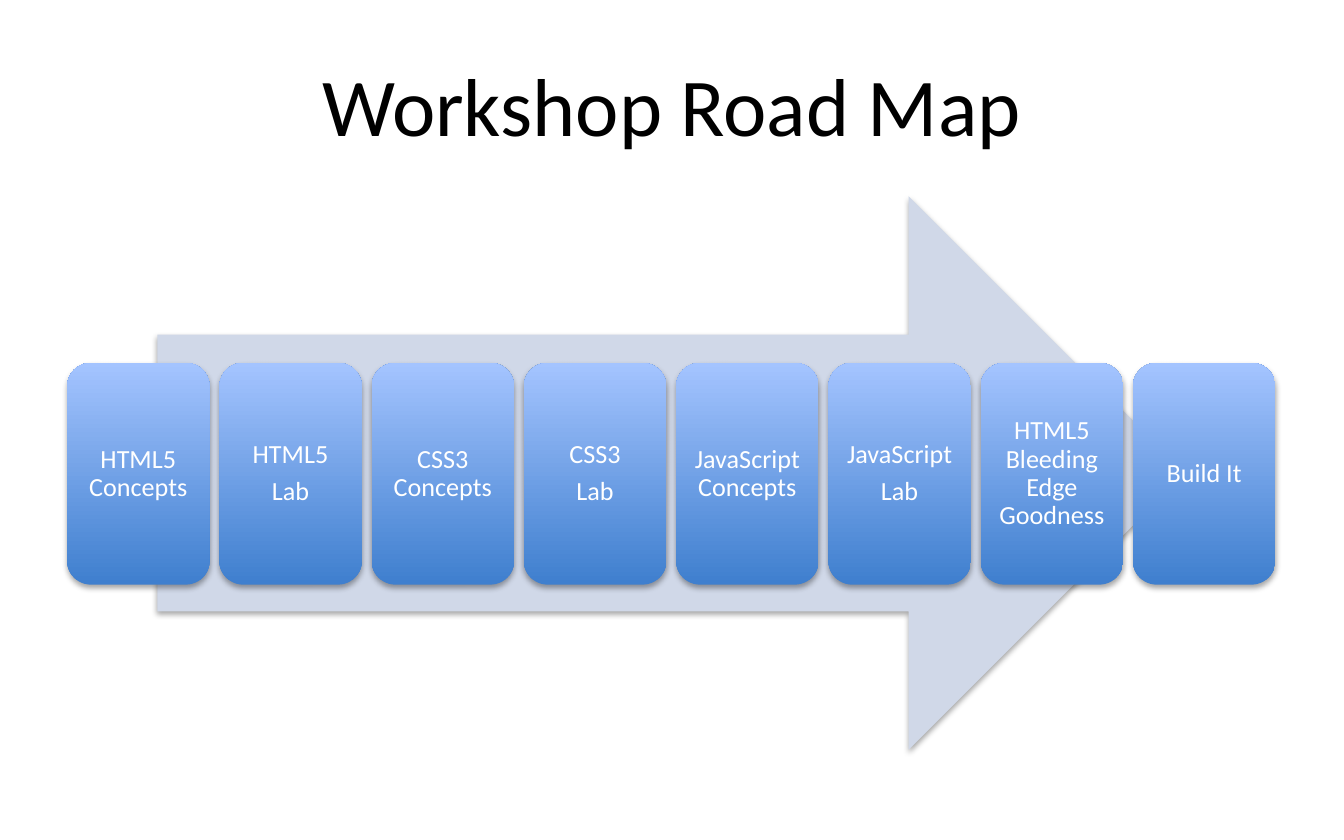
from lxml import etree
from pptx import Presentation
from pptx import util as u
from pptx.dml.color import RGBColor
from pptx.enum import shapes, text
from pptx.oxml.ns import qn

BLACK = RGBColor(0x00, 0x00, 0x00)
WHITE = RGBColor(0xFF, 0xFF, 0xFF)
PALE_BLUE = RGBColor(0xD0, 0xD8, 0xE8)
DEEP_BLUE = RGBColor(0x3F, 0x7F, 0xCE)
SKY_BLUE = RGBColor(0xA4, 0xC4, 0xFF)

WIDTH, HEIGHT = 10, 6.25
MARGIN, SPAN = 0.5, 8.99
CARD_WIDTH, CARD_HEIGHT, CARD_TOP = 1.06, 1.65, 2.7

# One entry per step, one string per paragraph
STEPS = [
    ["HTML5 Concepts"],
    ["HTML5", "Lab"],
    ["CSS3 Concepts"],
    ["CSS3", "Lab"],
    ["JavaScript Concepts"],
    ["JavaScript", "Lab"],
    ["HTML5 Bleeding Edge Goodness"],
    ["Build It"],
]


class RoadMap:
    """Holds the style and the current slide."""

    font = "Calibri"
    title_size, step_size = 44, 14

    def __init__(self, slide):
        self.slide = slide

    def format(self, paragraph, size, color):
        paragraph.alignment = text.PP_ALIGN.CENTER
        paragraph.font.name = self.font
        paragraph.font.size = u.Pt(size)
        paragraph.font.color.rgb = color

    def title(self, words, left, top, width, height):
        title = self.slide.shapes.title
        title.left, title.top = u.Inches(left), u.Inches(top)
        title.width, title.height = u.Inches(width), u.Inches(height)
        title.text_frame.text = words
        title.text_frame.vertical_anchor = text.MSO_ANCHOR.MIDDLE
        self.format(title.text_frame.paragraphs[0], self.title_size, BLACK)

    def raised(self, kind, left, top, width, height):
        """Add a borderless shape with a soft shadow below it."""
        shape = self.slide.shapes.add_shape(
            kind, *map(u.Inches, (left, top, width, height)))
        shape.line.fill.background()
        shape.shadow.inherit = False
        effects = shape._element.spPr.find(qn("a:effectLst"))
        shadow = etree.SubElement(
            effects, qn("a:outerShdw"), blurRad="40000", dist="23000",
            dir="5400000", rotWithShape="0")
        color = etree.SubElement(shadow, qn("a:srgbClr"), val=str(BLACK))
        etree.SubElement(color, qn("a:alpha"), val="35000")
        return shape

    def arrow(self, left, top, width, height):
        arrow = self.raised(shapes.MSO_SHAPE.RIGHT_ARROW, left, top, width, height)
        arrow.fill.solid()
        arrow.fill.fore_color.rgb = PALE_BLUE

    def step(self, column, lines):
        pitch = (SPAN - CARD_WIDTH) / (len(STEPS) - 1)
        card = self.raised(shapes.MSO_SHAPE.ROUNDED_RECTANGLE,
                           MARGIN + column * pitch, CARD_TOP, CARD_WIDTH, CARD_HEIGHT)
        card.fill.gradient()
        card.fill.gradient_angle = 90
        for stop, color, position in zip(card.fill.gradient_stops,
                                         (DEEP_BLUE, SKY_BLUE), (0, 1)):
            stop.color.rgb = color
            stop.position = position

        frame = card.text_frame
        frame.word_wrap = True
        frame.vertical_anchor = text.MSO_ANCHOR.MIDDLE
        frame.margin_left = frame.margin_right = u.Inches(0.06)
        frame.margin_top = frame.margin_bottom = u.Inches(0.06)
        frame.text = "\n".join(lines)
        for paragraph in frame.paragraphs:
            self.format(paragraph, self.step_size, WHITE)
            paragraph.line_spacing = 0.9
            paragraph.space_after = u.Pt(0.35 * self.step_size)


def main():
    deck = Presentation()
    deck.slide_width, deck.slide_height = u.Inches(WIDTH), u.Inches(HEIGHT)
    road_map = RoadMap(deck.slides.add_slide(deck.slide_layouts[5]))

    # Heading
    road_map.title("Workshop Road Map", MARGIN, 0.25, WIDTH - 2 * MARGIN, 1.04)

    # Arrow behind the row of steps
    road_map.arrow(1.17, 1.46, 7.65, 4.12)

    # Steps
    for column, lines in enumerate(STEPS):
        road_map.step(column, lines)

    deck.save("out.pptx")


if __name__ == "__main__":
    main()
